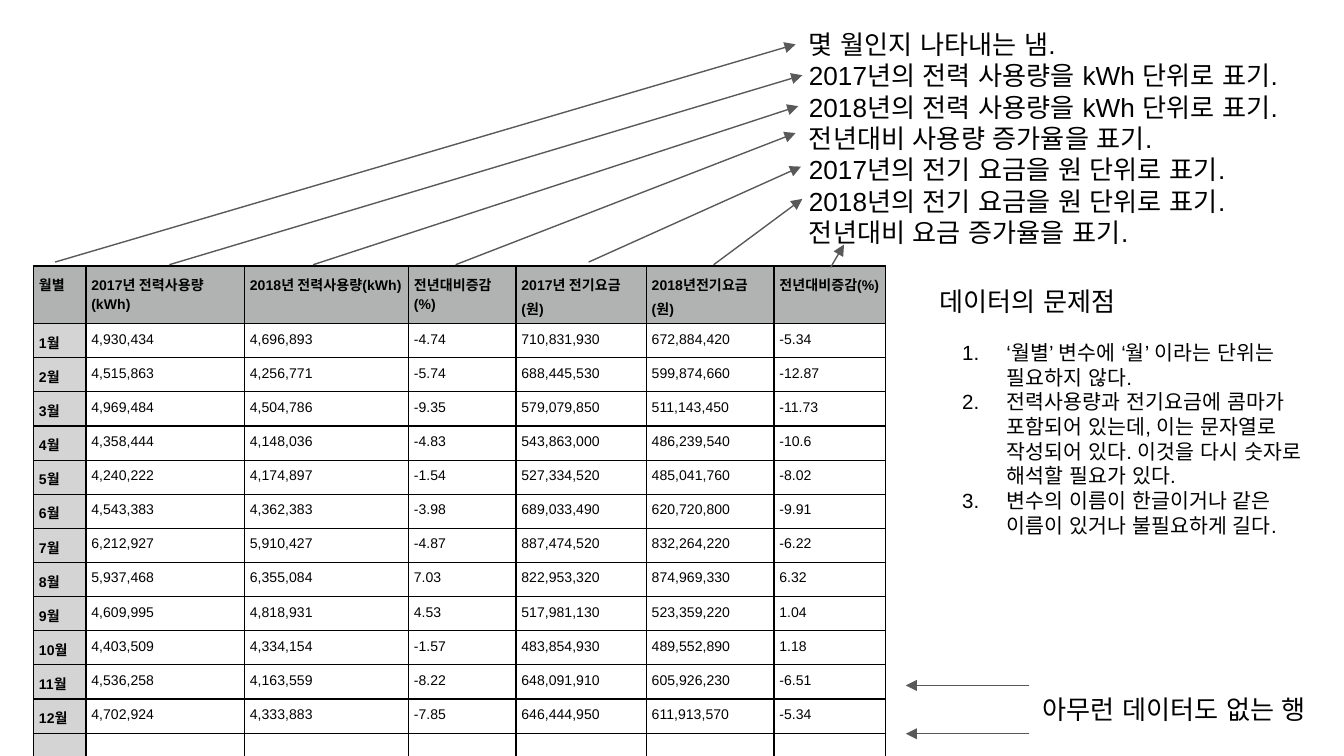
from lxml import etree
from pptx import Presentation
from pptx.dml.color import RGBColor
from pptx.enum.shapes import MSO_CONNECTOR
from pptx.enum.text import MSO_ANCHOR
from pptx.oxml import parse_xml
from pptx.oxml.ns import nsdecls, qn
from pptx.util import Inches, Pt

LINE = MSO_CONNECTOR.STRAIGHT
TOP, MIDDLE = MSO_ANCHOR.TOP, MSO_ANCHOR.MIDDLE
FONT, INK, GREY = "Arial", "000000", "595959"

HEAD = ["월별", "2017년 전력사용량(kWh)", "2018년 전력사용량(kWh)", "전년대비증감(%)",
        "2017년 전기요금(원)", "2018년전기요금(원)", "전년대비증감(%)"]
USAGE = [
    ["4,930,434", "4,696,893", "-4.74", "710,831,930", "672,884,420", "-5.34"],
    ["4,515,863", "4,256,771", "-5.74", "688,445,530", "599,874,660", "-12.87"],
    ["4,969,484", "4,504,786", "-9.35", "579,079,850", "511,143,450", "-11.73"],
    ["4,358,444", "4,148,036", "-4.83", "543,863,000", "486,239,540", "-10.6"],
    ["4,240,222", "4,174,897", "-1.54", "527,334,520", "485,041,760", "-8.02"],
    ["4,543,383", "4,362,383", "-3.98", "689,033,490", "620,720,800", "-9.91"],
    ["6,212,927", "5,910,427", "-4.87", "887,474,520", "832,264,220", "-6.22"],
    ["5,937,468", "6,355,084", "7.03", "822,953,320", "874,969,330", "6.32"],
    ["4,609,995", "4,818,931", "4.53", "517,981,130", "523,359,220", "1.04"],
    ["4,403,509", "4,334,154", "-1.57", "483,854,930", "489,552,890", "1.18"],
    ["4,536,258", "4,163,559", "-8.22", "648,091,910", "605,926,230", "-6.51"],
    ["4,702,924", "4,333,883", "-7.85", "646,444,950", "611,913,570", "-5.34"],
]
WIDTHS = [0.39, 1.18, 1.22, 0.8, 0.97, 0.95, 0.83]
HEIGHTS = [0.21] * 13 + [0.18, 0.11]

NOTES = ["몇 월인지 나타내는 냄.",
         "2017년의 전력 사용량을 kWh 단위로 표기.",
         "2018년의 전력 사용량을 kWh 단위로 표기.",
         "전년대비 사용량 증가율을 표기.",
         "2017년의 전기 요금을 원 단위로 표기.",
         "2018년의 전기 요금을 원 단위로 표기.",
         "전년대비 요금 증가율을 표기."]
FLAWS = ["‘월별’ 변수에 ‘월’ 이라는 단위는 필요하지 않다.",
         "전력사용량과 전기요금에 콤마가 포함되어 있는데, 이는 문자열로 작성되어 있다. "
         "이것을 다시 숫자로 해석할 필요가 있다.",
         "변수의 이름이 한글이거나 같은 이름이 있거나 불필요하게 길다."]
TEXTS = [  # left, top, width, height, size, anchor, lines
    (7.66, 5.03, 2.34, 0.49, 14, MIDDLE, ["아무런 데이터도 없는 행"]),
    (5.92, 0.11, 4.09, 1.77, 14, TOP, NOTES),
    (6.89, 2.02, 3.04, 0.48, 14, TOP, ["데이터의 문제점"]),
    (6.89, 2.43, 3.11, 2.29, 11, TOP, FLAWS),
]
ARROWS = [  # from x, from y, to x, to y
    (7.66, 5.1, 6.74, 5.1), (7.66, 5.46, 6.74, 5.46),
    (0.41, 1.95, 5.92, 0.33), (1.26, 1.97, 5.97, 0.56), (2.33, 1.97, 5.94, 0.79),
    (3.39, 1.97, 5.92, 0.99), (4.38, 1.95, 5.96, 1.24), (5.31, 1.97, 5.97, 1.48),
    (6.18, 1.99, 6.28, 1.82),
]


def color(code):
    return RGBColor.from_string(code)


def style(para, size, bold=False):
    for run in para.runs:
        font = run.font
        font.size, font.bold, font.name = Pt(size), bold, FONT
        font.color.rgb = color(INK)


prs = Presentation()
prs.slide_width = Inches(10)
prs.slide_height = Inches(10) * 9 // 16
slide = prs.slides.add_slide(prs.slide_layouts[6])
shapes = slide.shapes

# Monthly table, ending in two rows without data
months = [[f"{i}월"] + row for i, row in enumerate(USAGE, 1)]
rows = [HEAD] + months + [[""] * len(HEAD)] * 2
table = shapes.add_table(len(rows), len(HEAD), Inches(0.25), Inches(1.98),
                         Inches(sum(WIDTHS)), Inches(sum(HEIGHTS))).table
table.first_row = table.horz_banding = False
for col, width in zip(table.columns, WIDTHS):
    col.width = Inches(width)
for row, height in zip(table.rows, HEIGHTS):
    row.height = Inches(height)

for r, row in enumerate(rows):
    for c, value in enumerate(row):
        cell = table.cell(r, c)
        cell.margin_left = cell.margin_right = Inches(0.04)
        cell.margin_top = cell.margin_bottom = Inches(0.04)
        cell.text = value
        para = cell.text_frame.paragraphs[0]
        para.line_spacing = 1.15
        style(para, 7.5, r == 0 or c == 0)
        for side in ("lnL", "lnR", "lnT", "lnB"):
            cell._tc.get_or_add_tcPr().append(parse_xml(
                f'<a:{side} {nsdecls("a")} w="{Pt(0.75)}"><a:solidFill>'
                f'<a:srgbClr val="{INK}"/></a:solidFill></a:{side}>'))
        if r == 0 or c == 0:
            cell.fill.solid()
            cell.fill.fore_color.rgb = color("B0B3B2" if r == 0 else "D4D4D4")
        else:
            cell.fill.background()

# Explanations
for left, top, width, height, size, anchor, lines in TEXTS:
    box = shapes.add_textbox(Inches(left), Inches(top), Inches(width), Inches(height))
    frame = box.text_frame
    frame.word_wrap = True
    frame.vertical_anchor = anchor
    frame.margin_left = frame.margin_right = Inches(0.1)
    frame.margin_top = frame.margin_bottom = Inches(0.1)
    frame.text = "\n".join(lines)
    for para in frame.paragraphs:
        style(para, size)
        for run in para.runs:
            etree.SubElement(run._r.get_or_add_rPr(), qn("a:ea"), typeface=FONT)
        if lines is FLAWS:
            props = para._p.get_or_add_pPr()
            props.set("marL", str(Inches(0.5)))
            props.set("indent", str(Inches(-0.33)))
            tint = etree.SubElement(props, qn("a:buClr"))
            etree.SubElement(tint, qn("a:srgbClr"), val=INK)
            etree.SubElement(props, qn("a:buAutoNum"), type="arabicPeriod")

# Arrows from columns to explanations, and to the empty rows
for ends in ARROWS:
    arrow = shapes.add_connector(LINE, *[Inches(n) for n in ends])
    arrow.line.color.rgb = color(GREY)
    arrow.line.width = Pt(0.75)
    etree.SubElement(arrow.line._get_or_add_ln(), qn("a:tailEnd"), type="triangle")
    etree.SubElement(arrow._element.spPr, qn("a:effectLst"))

prs.save("out.pptx")
